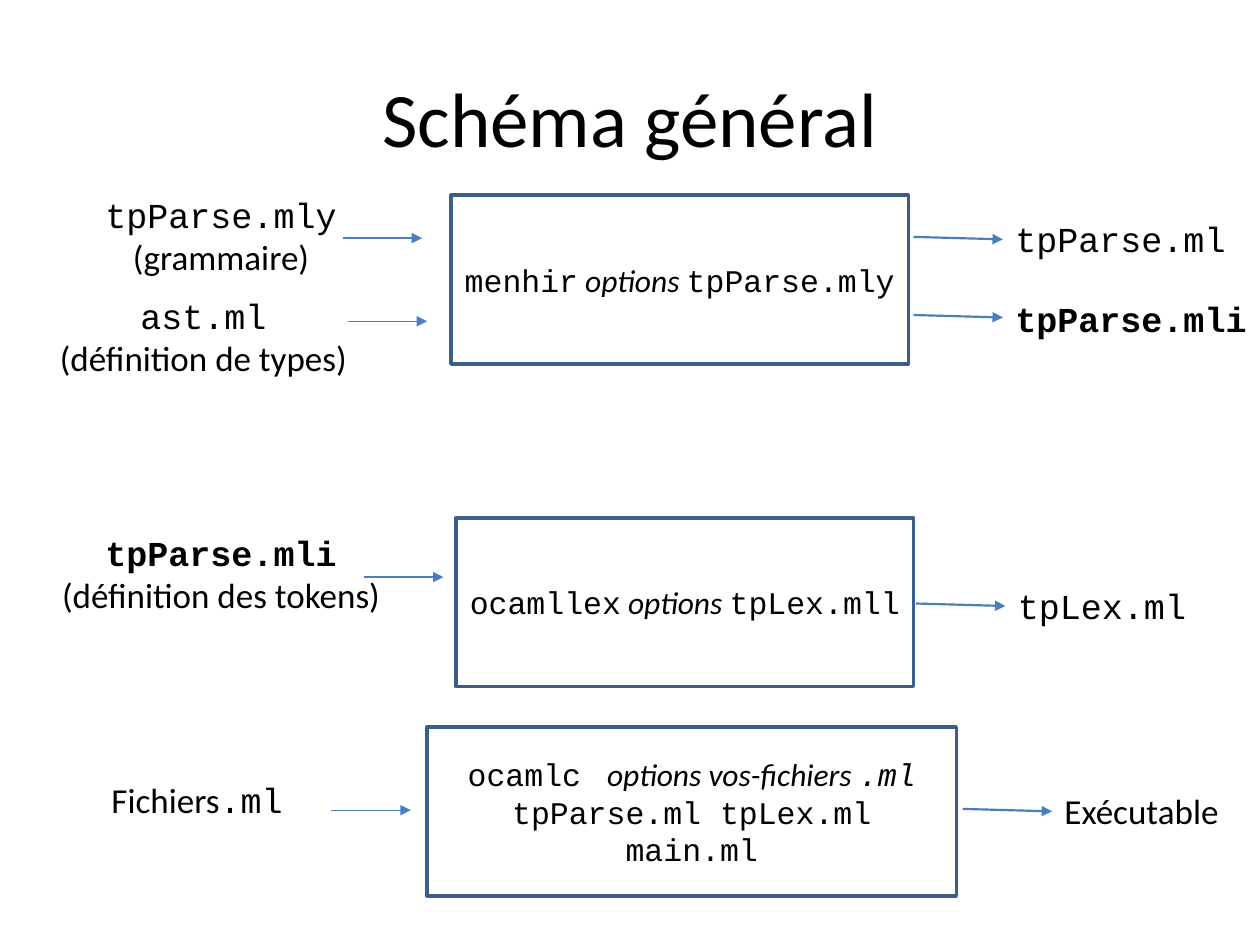
"""Build the slide on the general compilation scheme."""
import pptx
import pptx.dml.color
import pptx.enum.shapes
import pptx.enum.text
import pptx.oxml.ns
import pptx.util
from lxml import etree

Inches = pptx.util.Inches
ALIGN = pptx.enum.text.PP_ALIGN
MIDDLE = pptx.enum.text.MSO_ANCHOR.MIDDLE
BLACK, EDGE, ARROW = "000000", "3A5F8C", "4B7EBC"

# Style letters: m = monospace, i = italic, b = bold
TOOLS = [
    (3.58, 1.55, 3.63, [("menhir", "m"), (" options ", "i"), ("tpParse.mly", "m")]),
    (3.62, 4.11, 3.63, [("ocamllex", "m"), (" options ", "i"), ("tpLex.mll", "m")]),
    (3.39, 5.77, 4.2, [("ocamlc ", "m"), (" options vos-fichiers ", "i"),
                       (".ml ", "mi"), ("tpParse.ml tpLex.ml main.ml", "m")]),
]
INPUTS = [
    (0.37, 1.49, 2.77, [[("tpParse.mly", "m")], [("(grammaire)", "")]]),
    (0.36, 2.29, 2.51, [[("ast.ml", "m")], [("(définition de types)", "")]]),
    (0.37, 4.17, 2.77, [[("tpParse.mli", "mb")], [("(définition des tokens)", "")]]),
    (0.5, 6.13, 2.13, [[("Fichiers", ""), (".ml", "m")]]),
]
OUTPUTS = [
    (7.96, 1.68, 1.88, "tpParse.ml", "m"),
    (7.96, 2.31, 2.05, "tpParse.mli", "mb"),
    (7.98, 4.59, 1.55, "tpLex.ml", "m"),
    (8.35, 6.22, 1.44, "Exécutable", ""),
]
ARROWS_IN = [(2.72, 1.89), (2.76, 2.55), (2.89, 4.58), (2.63, 6.43)]
ARROWS_OUT = [(7.25, 1.88), (7.25, 2.5), (7.27, 4.79), (7.64, 6.42)]


def color(code):
    """Turn a hex string into a colour."""
    return pptx.dml.color.RGBColor.from_string(code)


def write(frame, lines, size, align):
    """Fill a text frame with lines of styled runs."""
    for n, runs in enumerate(lines):
        para = frame.add_paragraph() if n else frame.paragraphs[0]
        para.alignment = align
        for text, style in runs:
            run = para.add_run()
            run.text = text
            font = run.font
            font.name = "Courier New" if "m" in style else "Calibri"
            font.size = pptx.util.Pt(size)
            font.italic = "i" in style
            font.bold = "b" in style
            font.color.rgb = color(BLACK)


def add_tool(slide, left, top, width, runs):
    """Add the outlined box of a tool and its command."""
    box = slide.shapes.add_shape(
        pptx.enum.shapes.MSO_SHAPE.RECTANGLE,
        Inches(left), Inches(top), Inches(width), Inches(1.34))
    box.shadow.inherit = False
    box.fill.background()
    box.line.color.rgb = color(EDGE)
    box.line.width = pptx.util.Pt(2)
    box.text_frame.vertical_anchor = MIDDLE
    write(box.text_frame, [runs], 18, ALIGN.CENTER)


def add_label(slide, left, top, width, lines, align, wrap):
    """Add a text label for a file."""
    height = 0.44 + 0.33 * (len(lines) - 1)
    box = slide.shapes.add_textbox(
        Inches(left), Inches(top), Inches(width), Inches(height))
    frame = box.text_frame
    frame.word_wrap = wrap
    frame.auto_size = pptx.enum.text.MSO_AUTO_SIZE.SHAPE_TO_FIT_TEXT
    write(frame, lines, 20, align)


def add_arrow(slide, left, top, width, drop, weight):
    """Add an arrow pointing right."""
    line = slide.shapes.add_connector(
        pptx.enum.shapes.MSO_CONNECTOR.STRAIGHT,
        Inches(left), Inches(top), Inches(left + width), Inches(top + drop))
    line.line.color.rgb = color(ARROW)
    line.line.width = pptx.util.Pt(weight)
    qn = pptx.oxml.ns.qn
    props = line.line._get_or_add_ln()
    etree.SubElement(props, qn("a:tailEnd"), type="triangle")
    etree.SubElement(line._element.spPr, qn("a:effectLst"))


def add_title(slide, text):
    """Place and format the slide title."""
    title = slide.shapes.title
    title.left, title.top = Inches(0.5), Inches(0.3)
    title.width, title.height = Inches(9), Inches(1.25)
    title.text_frame.vertical_anchor = MIDDLE
    write(title.text_frame, [[(text, "")]], 44, ALIGN.CENTER)


def main():
    """Build and save the slide."""
    deck = pptx.Presentation()
    deck.slide_width, deck.slide_height = Inches(10), Inches(7.5)
    slide = deck.slides.add_slide(deck.slide_layouts[5])
    add_title(slide, "Schéma général")
    for tool in TOOLS:
        add_tool(slide, *tool)
    for left, top, width, lines in INPUTS:
        add_label(slide, left, top, width, lines, ALIGN.CENTER, True)
    for left, top, width, text, style in OUTPUTS:
        add_label(slide, left, top, width, [[(text, style)]], ALIGN.LEFT, False)
    for left, top in ARROWS_IN:
        add_arrow(slide, left, top, 0.63, 0, 0.75)
    for left, top in ARROWS_OUT:
        add_arrow(slide, left, top, 0.71, 0.02, 1.25)
    deck.save("out.pptx")


if __name__ == "__main__":
    main()
